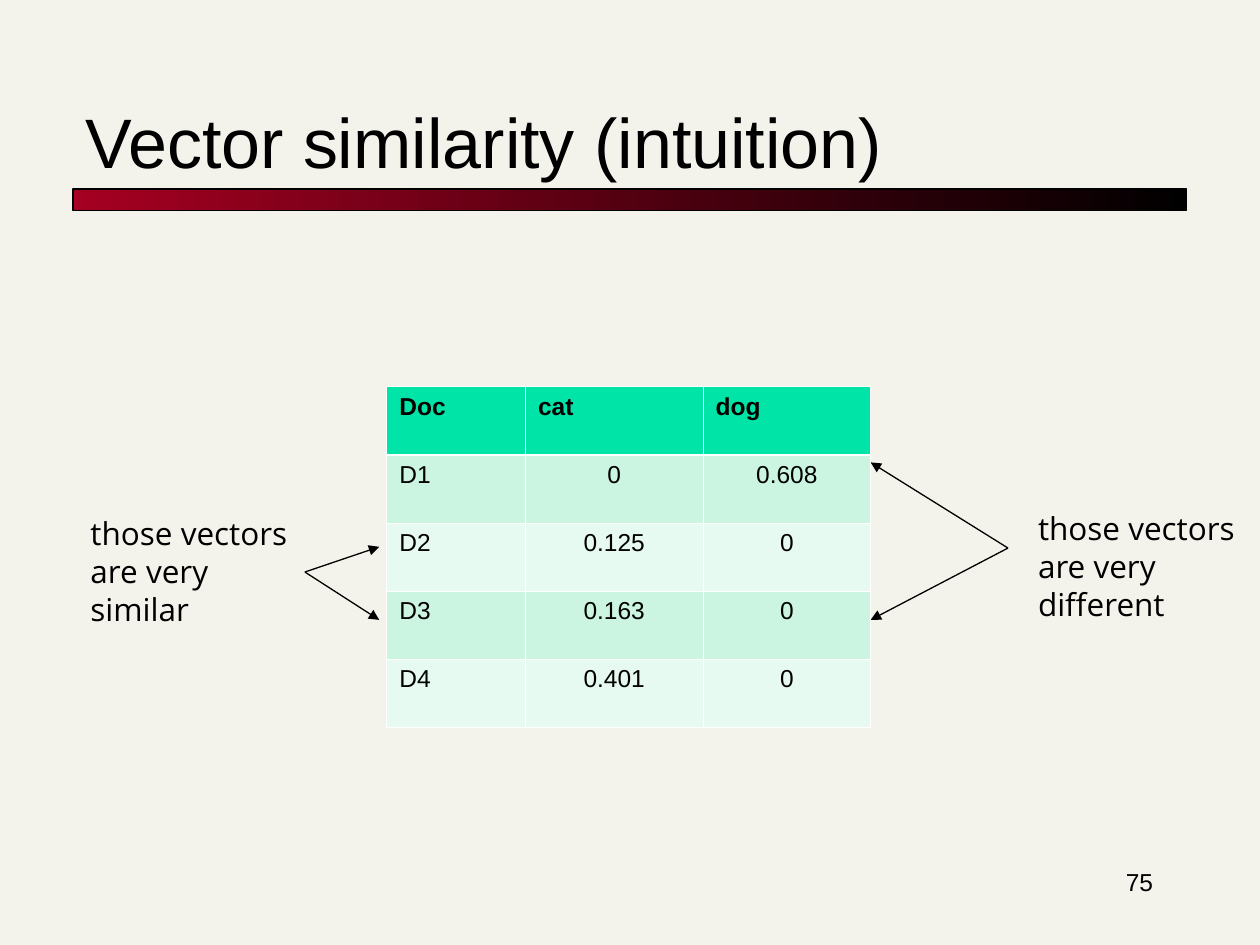
from lxml.etree import SubElement
from pptx import Presentation
from pptx.dml.color import RGBColor
from pptx.enum.shapes import MSO_CONNECTOR, MSO_SHAPE
from pptx.enum.text import MSO_ANCHOR as Anchor, PP_ALIGN as Align
from pptx.oxml.ns import qn
from pptx.util import Inches, Pt

TITLE = "Vector similarity (intuition)"
PAGE_NUMBER = "75"
ROWS = [
    ("Doc", "cat", "dog"),
    ("D1", "0", "0.608"),
    ("D2", "0.125", "0"),
    ("D3", "0.163", "0"),
    ("D4", "0.401", "0"),
]
COLUMN_WIDTHS = (1.1, 1.41, 1.33)
ROW_HEIGHT = 0.54
TABLE_LEFT, TABLE_TOP = 3.07, 3.07
HEADER_FILL, BAND_FILLS = "00E4A8", ("CBF5E1", "E7FAF1")

# Each note: lines of text, text box position, arrow start, arrow ends
NOTES = [
    (("those vectors", "are very", "different"), (8.14, 3.99),
     (8, 4.35), ((6.91, 3.67), (6.91, 4.92))),
    (("those vectors", "are very", "similar"), (0.62, 4.03),
     (2.42, 4.54), ((3.01, 4.34), (3.01, 4.92))),
]


def color(value):
    return RGBColor.from_string(value)


def write(frame, lines, size, font="Arial", bold=False, **paragraph_format):
    for index, line in enumerate(lines):
        paragraph = frame.paragraphs[0] if index == 0 else frame.add_paragraph()
        paragraph.text = line
        for name, value in paragraph_format.items():
            setattr(paragraph, name, value)
        for name, value in {"name": font, "size": Pt(size), "bold": bold}.items():
            setattr(paragraph.font, name, value)
        paragraph.font.color.rgb = color("000000")


def add_text(slide, box, lines, size, anchor=Anchor.TOP, **text_format):
    frame = slide.shapes.add_textbox(*map(Inches, box)).text_frame
    frame.word_wrap = True
    frame.vertical_anchor = anchor
    write(frame, lines, size, **text_format)


def add_title_bar(slide):
    bar = slide.shapes.add_shape(
        MSO_SHAPE.RECTANGLE, *map(Inches, (0.58, 1.5, 8.84, 0.17)))
    bar.shadow.inherit = False
    bar.fill.gradient()
    bar.fill.gradient_angle = 0
    for stop, value in zip(bar.fill.gradient_stops, ("A50021", "000000")):
        stop.color.rgb = color(value)
    bar.line.color.rgb = color("000000")
    bar.line.width = Pt(0.75)


def add_arrow(slide, start, end):
    arrow = slide.shapes.add_connector(
        MSO_CONNECTOR.STRAIGHT, *map(Inches, start + end))
    arrow.line.color.rgb = color("000000")
    arrow.line.width = Pt(0.75)
    SubElement(arrow.line._get_or_add_ln(), qn("a:tailEnd"), type="triangle")
    SubElement(arrow._element.spPr, qn("a:effectLst"))


def set_borders(cell, widths):
    """Draw white cell borders; widths maps each side (L, R, T, B) to points."""
    properties = cell._tc.get_or_add_tcPr()
    for side, width in widths.items():
        line = SubElement(properties, qn(f"a:ln{side}"), w=str(Pt(width)))
        fill = SubElement(line, qn("a:solidFill"))
        SubElement(fill, qn("a:srgbClr"), val="FFFFFF")


def add_vector_table(slide):
    table = slide.shapes.add_table(
        len(ROWS), len(COLUMN_WIDTHS), Inches(TABLE_LEFT), Inches(TABLE_TOP),
        Inches(sum(COLUMN_WIDTHS)), Inches(ROW_HEIGHT * len(ROWS))).table
    for column, width in zip(table.columns, COLUMN_WIDTHS):
        column.width = Inches(width)
    for r, values in enumerate(ROWS):
        table.rows[r].height = Inches(ROW_HEIGHT)
        header = r == 0
        borders = {"L": 0.45, "R": 0.45,
                   "T": 1.47 if r == 1 else 0.45, "B": 1.47 if header else 0.45}
        for c, value in enumerate(values):
            cell = table.cell(r, c)
            set_borders(cell, borders)
            cell.fill.solid()
            cell.fill.fore_color.rgb = color(
                HEADER_FILL if header else BAND_FILLS[(r - 1) % 2])
            write(cell.text_frame, [value], 14, bold=header,
                  alignment=Align.LEFT if header or c == 0 else Align.CENTER)


def main():
    presentation = Presentation()
    presentation.slide_width, presentation.slide_height = Inches(10), Inches(7.5)
    slide = presentation.slides.add_slide(presentation.slide_layouts[6])
    slide.background.fill.solid()
    slide.background.fill.fore_color.rgb = color("F4F3EB")

    add_title_bar(slide)
    add_text(slide, (0.58, 0.42, 8.83, 1.08), [TITLE], 40, anchor=Anchor.BOTTOM)
    add_text(slide, (7.17, 6.83, 2.08, 0.5), [PAGE_NUMBER], 14,
             alignment=Align.RIGHT)
    for lines, position, start, ends in NOTES:
        add_text(slide, position + (1.84, 1), lines, 18, font="Open Sans",
                 line_spacing=Pt(21.7))
        for end in ends:
            add_arrow(slide, start, end)
    add_vector_table(slide)
    presentation.save("out.pptx")


if __name__ == "__main__":
    main()
